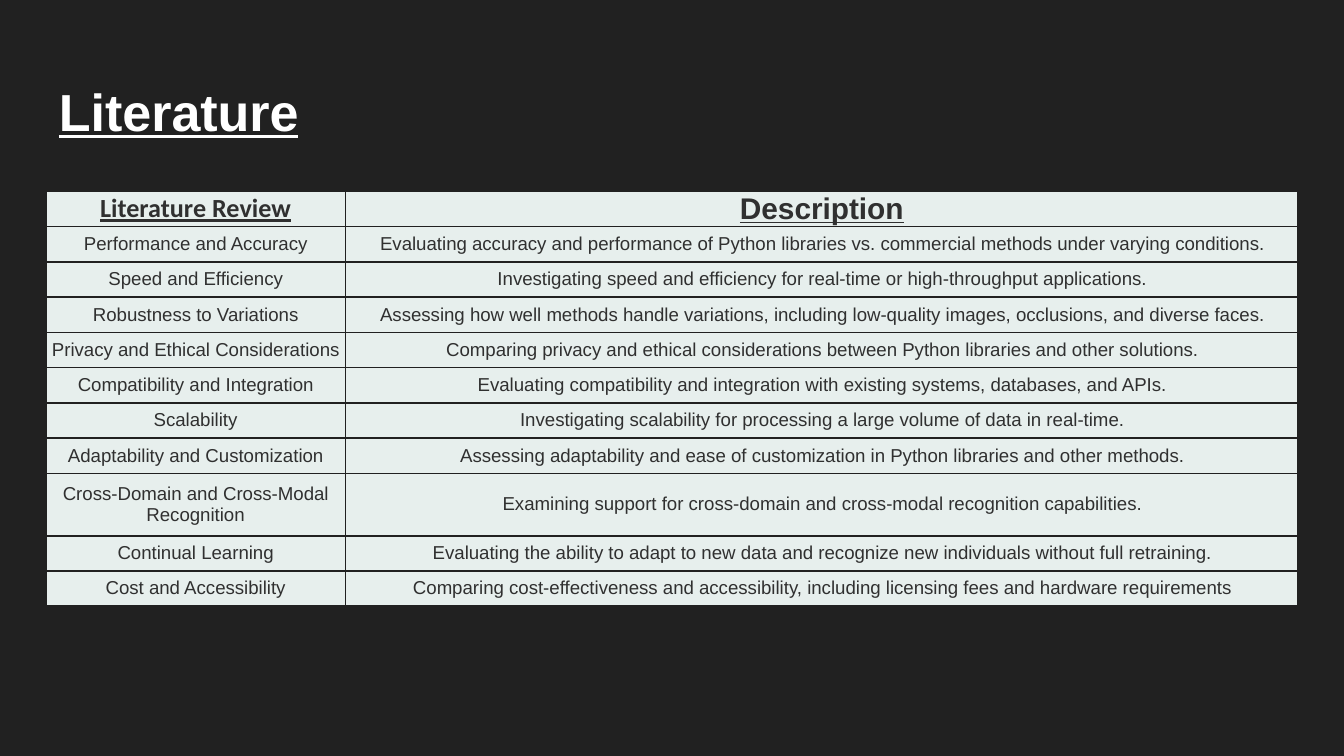
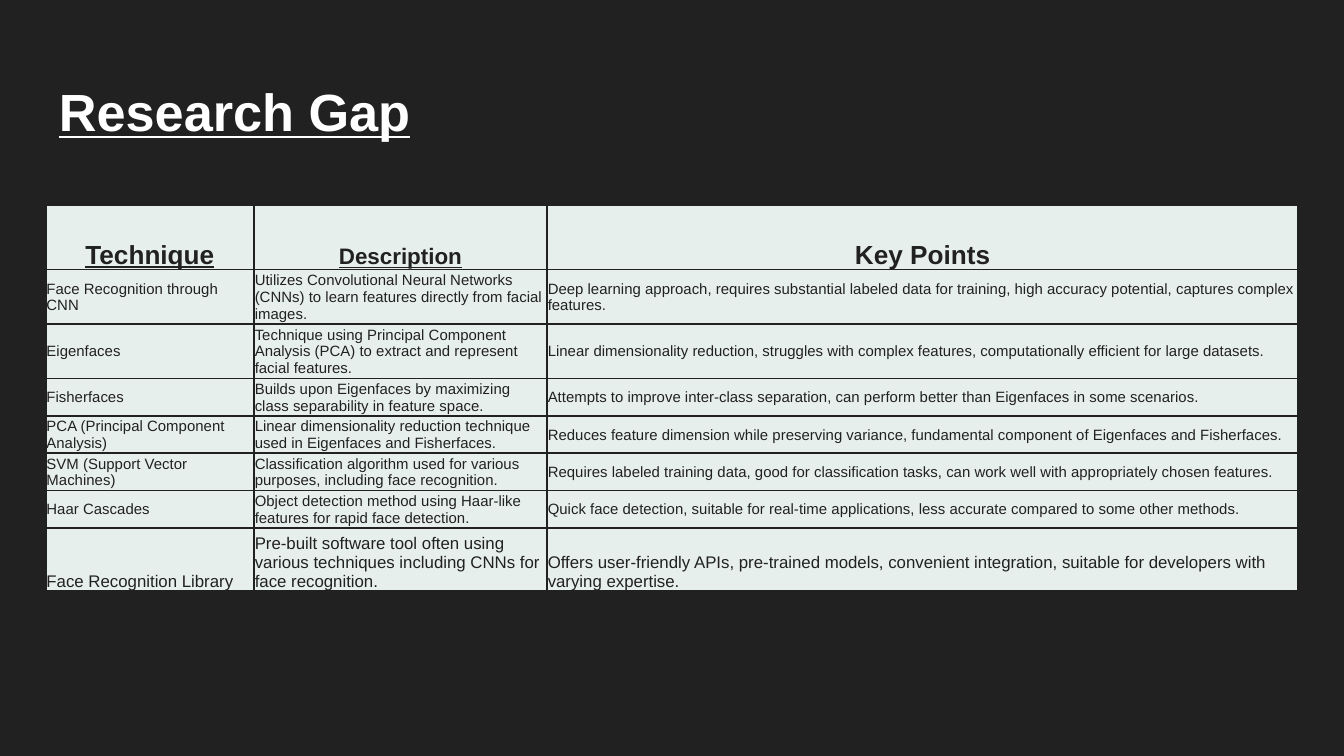
from dataclasses import dataclass
from itertools import product

from lxml.etree import SubElement
from pptx import Presentation
from pptx.dml.color import RGBColor as Color
from pptx.enum.text import MSO_ANCHOR as Anchor, PP_ALIGN as Align
from pptx.oxml.ns import qn
from pptx.util import Inches, Pt


@dataclass(frozen=True)
class Theme:
    background: str = "212121"
    title: str = "FFFFFF"
    cell: str = "E7EFED"
    review_text: str = "303030"
    gap_text: str = "212121"
    font: str = "Arial"
    header_font: str = "Calibri"
    review_title_size: float = 27.9
    gap_title_size: float = 28
    header_large: float = 16
    header_medium: float = 14
    header_small: float = 12
    review_size: float = 10
    gap_size: float = 8
    gap_last_size: float = 9
    border: float = 1
    gap_inset: float = 0.4


@dataclass(frozen=True)
class Box:
    left: float
    top: float
    width: float
    height: float

    def place(self):
        lengths = (self.left * COLUMN, self.top * ROW, self.width * COLUMN, self.height * ROW)
        return tuple(map(int, lengths))


@dataclass(frozen=True)
class Style:
    size: float
    color: str
    font: str = "Arial"
    bold: bool = False
    underline: bool = False
    align: Align = Align.LEFT
    anchor: Anchor = Anchor.MIDDLE


THEME = Theme()
WIDTH = Inches(10)
HEIGHT = WIDTH * 9 // 16
COLUMN, ROW = WIDTH / 100, HEIGHT / 100
TITLE_BOX = Box(3.4, 8.71, 93.2, 11.2)
REVIEW_BOX = Box(3.4, 25.24, 93.2, 54.93)
GAP_BOX = Box(3.4, 27.2, 93.2, 50.31)

REVIEW_ROWS = [
    ("Literature Review", "Description"),
    ("Performance and Accuracy",
     "Evaluating accuracy and performance of Python libraries vs. commercial methods under varying conditions."),
    ("Speed and Efficiency",
     "Investigating speed and efficiency for real-time or high-throughput applications."),
    ("Robustness to Variations",
     "Assessing how well methods handle variations, including low-quality images, occlusions, and diverse faces."),
    ("Privacy and Ethical Considerations",
     "Comparing privacy and ethical considerations between Python libraries and other solutions."),
    ("Compatibility and Integration",
     "Evaluating compatibility and integration with existing systems, databases, and APIs."),
    ("Scalability",
     "Investigating scalability for processing a large volume of data in real-time."),
    ("Adaptability and Customization",
     "Assessing adaptability and ease of customization in Python libraries and other methods."),
    ("Cross-Domain and Cross-Modal Recognition",
     "Examining support for cross-domain and cross-modal recognition capabilities."),
    ("Continual Learning",
     "Evaluating the ability to adapt to new data and recognize new individuals without full retraining."),
    ("Cost and Accessibility",
     "Comparing cost-effectiveness and accessibility, including licensing fees and hardware requirements"),
]

GAP_ROWS = [
    ("Technique", "Description", "Key Points"),
    ("Face Recognition through CNN",
     "Utilizes Convolutional Neural Networks (CNNs) to learn features directly from facial images.",
     "Deep learning approach, requires substantial labeled data for training, high accuracy potential, "
     "captures complex features."),
    ("Eigenfaces",
     "Technique using Principal Component Analysis (PCA) to extract and represent facial features.",
     "Linear dimensionality reduction, struggles with complex features, computationally efficient "
     "for large datasets."),
    ("Fisherfaces",
     "Builds upon Eigenfaces by maximizing class separability in feature space.",
     "Attempts to improve inter-class separation, can perform better than Eigenfaces in some scenarios."),
    ("PCA (Principal Component Analysis)",
     "Linear dimensionality reduction technique used in Eigenfaces and Fisherfaces.",
     "Reduces feature dimension while preserving variance, fundamental component of Eigenfaces "
     "and Fisherfaces."),
    ("SVM (Support Vector Machines)",
     "Classification algorithm used for various purposes, including face recognition.",
     "Requires labeled training data, good for classification tasks, can work well with "
     "appropriately chosen features."),
    ("Haar Cascades",
     "Object detection method using Haar-like features for rapid face detection.",
     "Quick face detection, suitable for real-time applications, less accurate compared to some "
     "other methods."),
    ("Face Recognition Library",
     "Pre-built software tool often using various techniques including CNNs for face recognition.",
     "Offers user-friendly APIs, pre-trained models, convenient integration, suitable for developers "
     "with varying expertise."),
]


def write(frame, text, style):
    para = frame.paragraphs[0]
    para.alignment = style.align
    span = para.add_run()
    span.text = text
    font = span.font
    font.name, font.size = style.font, Pt(style.size)
    font.bold, font.underline = style.bold, style.underline
    font.color.rgb = Color.from_string(style.color)


def add_page(deck, title, size):
    page = deck.slides.add_slide(deck.slide_layouts[6])
    page.background.fill.solid()
    page.background.fill.fore_color.rgb = Color.from_string(THEME.background)
    frame = page.shapes.add_textbox(*TITLE_BOX.place()).text_frame
    frame.word_wrap = True
    frame.margin_left = frame.margin_right = Inches(0.1)
    frame.margin_top = frame.margin_bottom = Inches(0.1)
    frame.vertical_anchor = Anchor.TOP
    write(frame, title, Style(size, THEME.title, THEME.font, True, True))
    return page


def add_borders(cell):
    properties = cell._tc.get_or_add_tcPr()
    for side in ("lnL", "lnR", "lnT", "lnB"):
        line = SubElement(properties, qn(f"a:{side}"), w=str(Pt(THEME.border)))
        fill = SubElement(line, qn("a:solidFill"))
        SubElement(fill, qn("a:srgbClr"), val=THEME.background)


def fill_cell(cell, text, style, inset):
    cell.margin_left = cell.margin_right = cell.margin_top = Pt(inset)
    cell.margin_bottom = 0
    cell.vertical_anchor = style.anchor
    add_borders(cell)
    cell.fill.solid()
    cell.fill.fore_color.rgb = Color.from_string(THEME.cell)
    write(cell.text_frame, text, style)


def share_out(lines, weights, total, attribute):
    for line, weight in zip(lines, weights):
        setattr(line, attribute, int(total * weight / sum(weights)))


def add_grid(page, box, rows, widths, heights, style_at, inset):
    left, top, width, height = box.place()
    table = page.shapes.add_table(len(rows), len(widths), left, top, width, height).table
    table.first_row = table.horz_banding = False
    share_out(table.columns, widths, width, "width")
    share_out(table.rows, heights, height, "height")
    for row, column in product(range(len(rows)), range(len(widths))):
        fill_cell(table.cell(row, column), rows[row][column], style_at(row, column), inset)


def review_style(row, column):
    color = THEME.review_text
    if row:
        return Style(THEME.review_size, color, THEME.font, align=Align.CENTER)
    size, font = ((THEME.header_medium, THEME.header_font), (THEME.header_large, THEME.font))[column]
    return Style(size, color, font, True, True, Align.CENTER)


def gap_style(row, column):
    color = THEME.gap_text
    if row == 0:
        size = THEME.header_small if column == 1 else THEME.header_medium
        return Style(size, color, THEME.font, True, column < 2, Align.CENTER, Anchor.BOTTOM)
    if row == len(GAP_ROWS) - 1:
        return Style(THEME.gap_last_size, color, THEME.font, anchor=Anchor.BOTTOM)
    return Style(THEME.gap_size, color, THEME.font)


def build_literature(deck):
    page = add_page(deck, "Literature", THEME.review_title_size)
    heights = [0.26] * 8 + [0.46] + [0.26] * 2
    add_grid(page, REVIEW_BOX, REVIEW_ROWS, (2.23, 7.09), heights, review_style, 0)


def build_research_gap(deck):
    page = add_page(deck, "Research Gap", THEME.gap_title_size)
    heights = [0.48] + [0.39] * 2 + [0.28] * 4 + [0.47]
    add_grid(page, GAP_BOX, GAP_ROWS, (1.55, 2.18, 5.59), heights, gap_style, THEME.gap_inset)


def main():
    deck = Presentation()
    deck.slide_width, deck.slide_height = WIDTH, HEIGHT
    build_literature(deck)
    build_research_gap(deck)
    deck.save("out.pptx")


if __name__ == "__main__":
    main()
